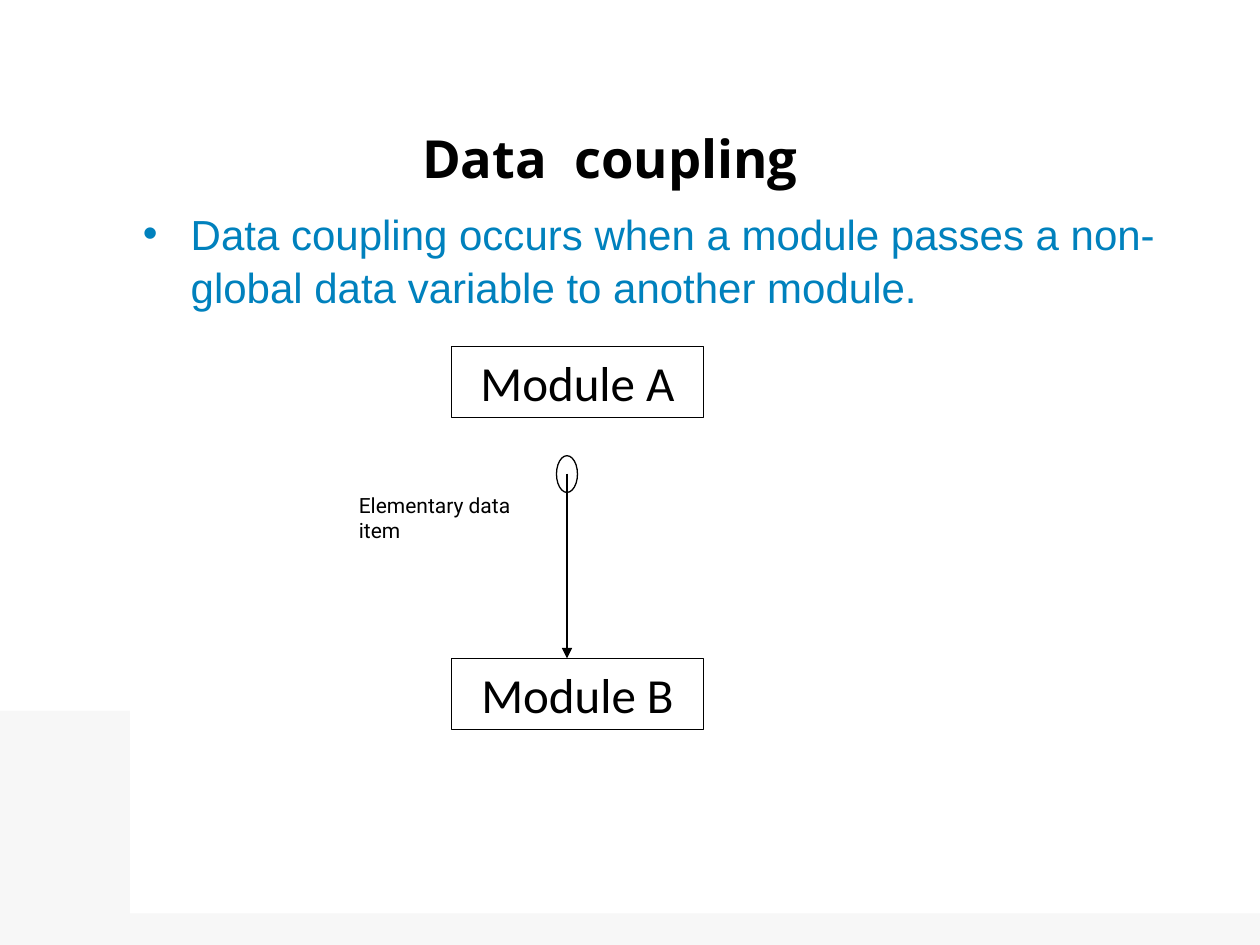
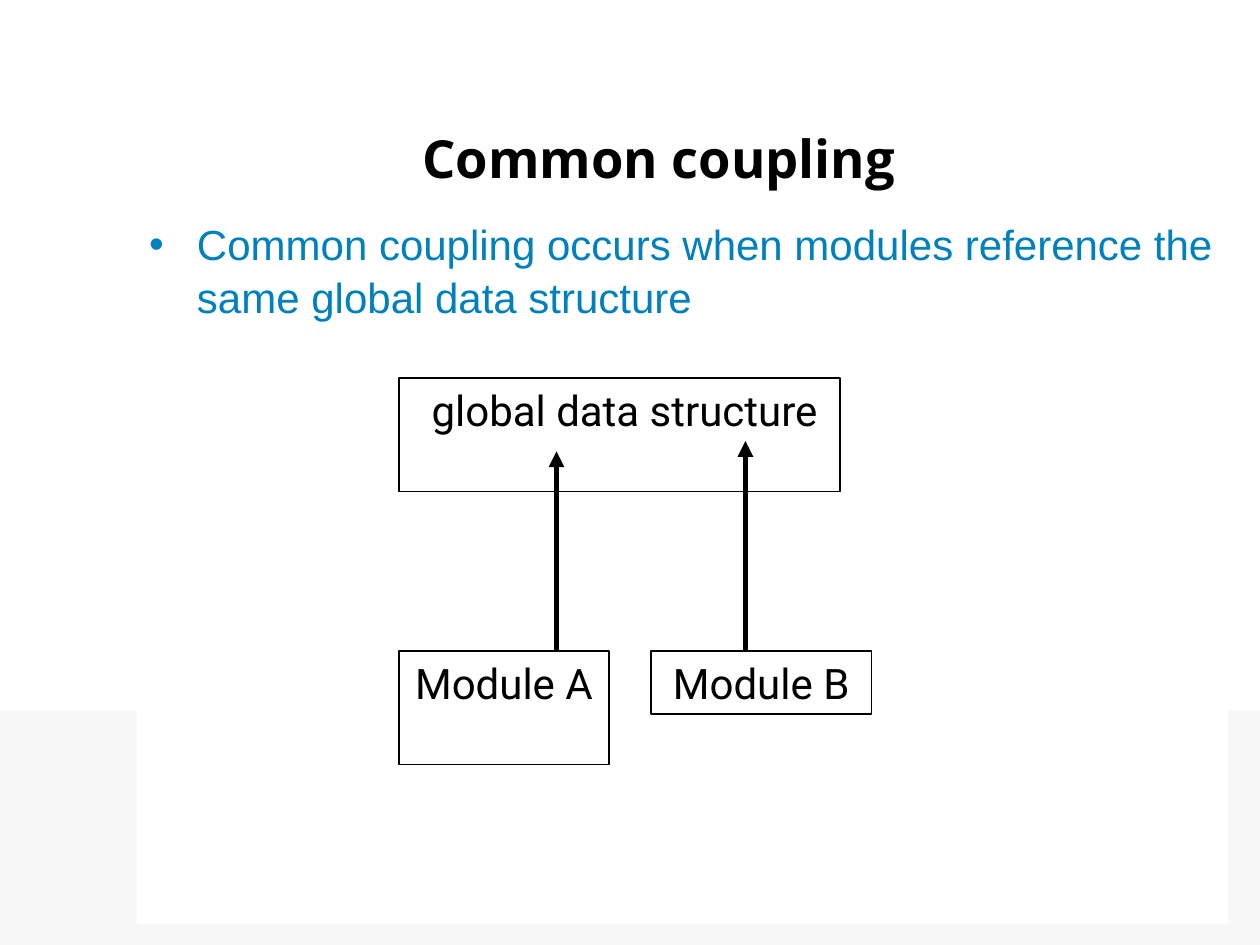
from dataclasses import dataclass

from lxml import etree
from pptx import Presentation
from pptx.dml.color import RGBColor
from pptx.enum import shapes, text
from pptx.oxml import ns
from pptx.util import Inches, Pt


@dataclass(frozen=True)
class Theme:
    # Colours
    ink: str = "000000"
    accent: str = "0081BD"
    paper: str = "FFFFFF"
    band: str = "F7F7F7"
    # Fonts
    title_font: str = "Open Sans"
    body_font: str = "Arial"
    module_font: str = "Calibri"
    label_font: str = "Roboto"
    # Type sizes and line widths in points
    title_size: float = 30
    body_size: float = 24
    module_size: float = 28
    label_size: float = 12
    thin: float = 0.75
    thick: float = 3


class Builder:
    """Draws on the current page; lengths are columns and rows of a 120 by 90 grid."""

    COLUMNS, ROWS = 120, 90

    def __init__(self, theme):
        self.theme = theme
        self.deck = Presentation()
        self.deck.slide_width, self.deck.slide_height = Inches(10), Inches(7.5)
        self.page = None

    # Helpers
    def across(self, columns):
        return round(self.deck.slide_width * columns / self.COLUMNS)

    def down(self, rows):
        return round(self.deck.slide_height * rows / self.ROWS)

    def frame(self, left, top, width, height):
        return self.across(left), self.down(top), self.across(width), self.down(height)

    def place(self, box, area):
        box.left, box.top, box.width, box.height = self.frame(*area)

    @staticmethod
    def paint(box, color):
        box.fill.solid()
        box.fill.fore_color.rgb = RGBColor.from_string(color)

    def add_words(self, box, words, font, size, color=None, bold=False,
                  align=text.PP_ALIGN.LEFT, anchor=text.MSO_ANCHOR.TOP):
        frame = box.text_frame
        frame.word_wrap = True
        frame.auto_size = text.MSO_AUTO_SIZE.NONE
        frame.vertical_anchor = anchor
        para = frame.paragraphs[0]
        para.alignment = align
        para.space_before = Pt(0)
        span = para.add_run()
        span.text = words
        span.font.name, span.font.size, span.font.bold = font, Pt(size), bold
        span.font.color.rgb = RGBColor.from_string(color or self.theme.ink)
        return para

    # Page parts
    def new_page(self, title):
        self.page = self.deck.slides.add_slide(self.deck.slide_layouts[1])
        self.place(self.page.shapes.title, (39, 10, 74, 10))
        self.add_words(self.page.shapes.title, title, self.theme.title_font,
                       self.theme.title_size, bold=True, anchor=text.MSO_ANCHOR.MIDDLE)

    def master_band(self, area):
        """Draw the footer band, then move it behind everything on the master."""
        band = self.shape(area, shapes.MSO_SHAPE.RECTANGLE)
        self.paint(band, self.theme.band)
        band.line.fill.background()
        tree = self.deck.slide_master.placeholders[0].element.getparent()
        tree.insert(2, band.element)

    def bullet_panel(self, words, area):
        panel = self.page.placeholders[1]
        self.place(panel, area)
        self.paint(panel, self.theme.paper)
        para = self.add_words(panel, words, self.theme.body_font,
                              self.theme.body_size, self.theme.accent)
        para.line_spacing = 1.05
        properties = para._p.get_or_add_pPr()
        indent = Inches(0.38)
        properties.set("marL", str(indent))
        properties.set("indent", str(-indent))
        color = etree.SubElement(properties, ns.qn("a:buClr"))
        etree.SubElement(color, ns.qn("a:srgbClr"), val=self.theme.accent)
        etree.SubElement(properties, ns.qn("a:buFont"), typeface=self.theme.body_font)
        etree.SubElement(properties, ns.qn("a:buChar"), char="•")

    # Diagram parts
    def shape(self, area, kind):
        outline = self.page.shapes.add_shape(kind, *self.frame(*area))
        outline.shadow.inherit = False
        outline.fill.background()
        outline.line.color.rgb = RGBColor.from_string(self.theme.ink)
        outline.line.width = Pt(self.theme.thin)
        return outline

    def oval(self, area):
        self.shape(area, shapes.MSO_SHAPE.OVAL)

    def node(self, words, area, font, size):
        box = self.shape(area, shapes.MSO_SHAPE.RECTANGLE)
        self.add_words(box, words, font, size, align=text.PP_ALIGN.CENTER)
        return box

    def label(self, words, area):
        box = self.page.shapes.add_textbox(*self.frame(*area))
        self.add_words(box, words, self.theme.label_font, self.theme.label_size)

    def arrow(self, column, start, end, width):
        line = self.page.shapes.add_connector(
            shapes.MSO_CONNECTOR.STRAIGHT, self.across(column), self.down(start),
            self.across(column), self.down(end))
        line.line.color.rgb = RGBColor.from_string(self.theme.ink)
        line.line.width = Pt(width)
        properties = line.element.spPr
        etree.SubElement(properties.find(ns.qn("a:ln")), ns.qn("a:tailEnd"), type="triangle")
        etree.SubElement(properties, ns.qn("a:effectLst"))


def data_coupling(build):
    theme = build.theme
    build.new_page("Data  coupling")
    build.bullet_panel("Data coupling occurs when a module passes a non-global data "
                       "variable to another module.", (12.4, 19, 108, 68))
    for name, top in (("Module A", 33), ("Module B", 62.7)):
        build.node(name, (43, top, 24, 6.8), theme.module_font, theme.module_size)
    build.label("Elementary data item", (33, 46.3, 18, 6))
    build.arrow(54, 45.1, 62.7, theme.thin)
    build.oval((53, 43.4, 2, 3.5))


def common_coupling(build):
    theme = build.theme
    build.new_page("Common coupling")
    build.bullet_panel("Common coupling occurs when modules reference the same "
                       "global data structure", (13, 20, 104, 68))
    nodes = (("global data structure", (38, 36, 42, 10.8)),
             ("Module A", (38, 62, 20, 10.8)),
             ("Module B", (62, 62, 21, 6)))
    store, *_ = [build.node(name, area, theme.label_font, theme.body_size)
                 for name, area in nodes]
    store.text_frame.margin_left = Inches(0.18)
    for column, end in ((53, 43), (71, 42)):
        build.arrow(column, 62, end, theme.thick)


def main():
    build = Builder(Theme())
    data_coupling(build)
    build.master_band((0, 67.7, 120, 22.3))
    common_coupling(build)
    build.deck.save("out.pptx")


if __name__ == "__main__":
    main()
